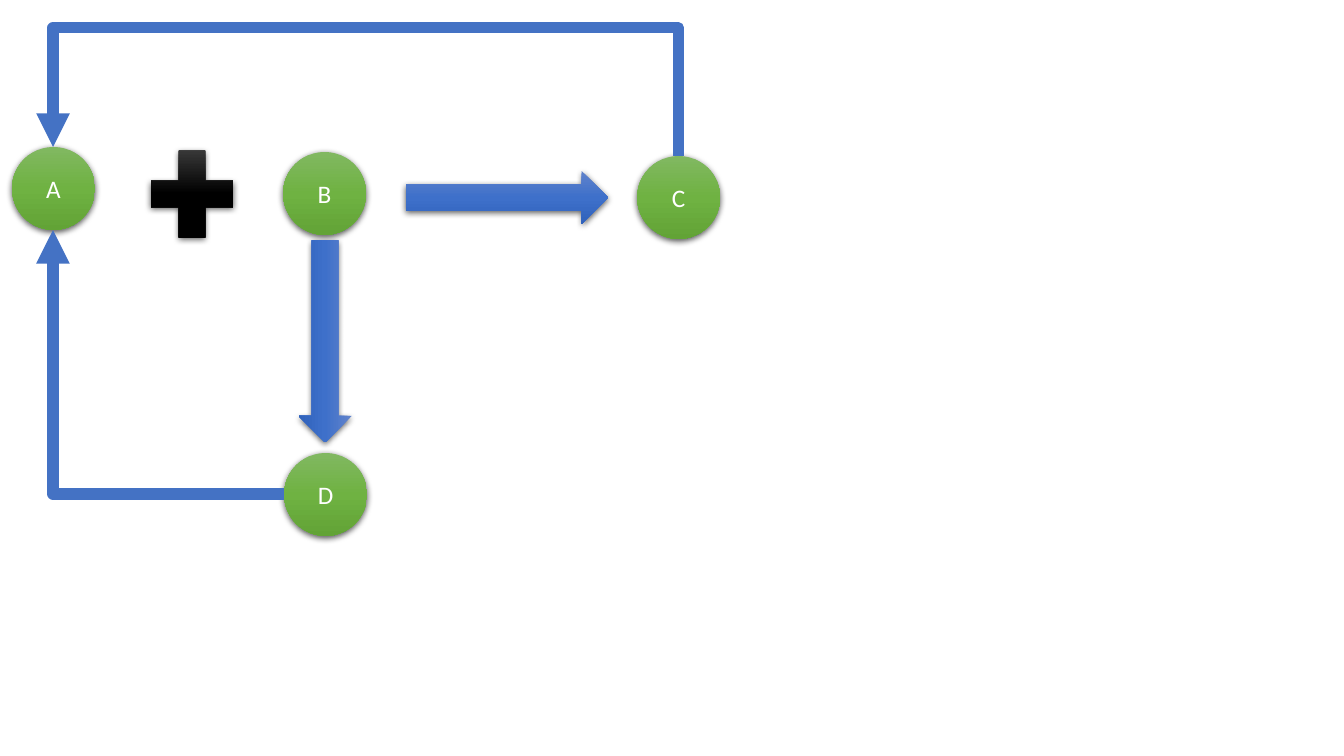
from copy import deepcopy

from lxml.etree import SubElement
from pptx import Presentation
from pptx.dml.color import RGBColor
from pptx.enum.shapes import MSO_CONNECTOR, MSO_SHAPE
from pptx.enum.text import MSO_ANCHOR, PP_ALIGN
from pptx.oxml.ns import qn
from pptx.util import Emu, Inches, Pt

EMU_PER_PX = 914400 / 100.8
DIAMETER = 83
WHITE = RGBColor(0xFF, 0xFF, 0xFF)
LINE_BLUE = RGBColor(0x44, 0x72, 0xC4)
GREENS = (RGBColor(0x81, 0xB8, 0x61), RGBColor(0x6F, 0xB2, 0x42), RGBColor(0x62, 0xA3, 0x36))
BLUES = (RGBColor(0x61, 0x83, 0xCB), RGBColor(0x3E, 0x70, 0xCA), RGBColor(0x30, 0x62, 0xBB))
BLACKS = (RGBColor(0x4B, 0x4B, 0x4B), RGBColor(0, 0, 0), RGBColor(0, 0, 0))


def px(value):
    """Turn pixels into EMU."""
    return Emu(round(value * EMU_PER_PX))


def fill_gradient(shape, colors):
    """Fill a shape from top to bottom with three evenly spaced colours."""
    shape.fill.gradient()
    shape.fill.gradient_angle = 270
    stop_list = shape._element.spPr.find(qn("a:gradFill")).find(qn("a:gsLst"))
    stop_list.append(deepcopy(stop_list[-1]))
    for index, (stop, color) in enumerate(zip(shape.fill.gradient_stops, colors)):
        stop.position = index / 2
        stop.color.rgb = color


def add_shadow(shape):
    """Give a shape a soft shadow just below it."""
    shape.shadow.inherit = False
    effects = shape._element.spPr.find(qn("a:effectLst"))
    shadow = SubElement(effects, qn("a:outerShdw"), blurRad=str(Pt(4.5)), dist=str(Pt(1.5)),
                        dir="5400000", algn="ctr", rotWithShape="0")
    color = SubElement(shadow, qn("a:srgbClr"), val="000000")
    SubElement(color, qn("a:alpha"), val="63000")


def add_block(slide, kind, left, top, width, height, colors, rotation=0):
    """Add a shaded preset shape without an outline."""
    shape = slide.shapes.add_shape(kind, px(left), px(top), px(width), px(height))
    fill_gradient(shape, colors)
    shape.line.fill.background()
    shape.rotation = rotation
    add_shadow(shape)
    return shape


def set_text(shape, text, size=18, font="Calibri", color=WHITE, align=PP_ALIGN.CENTER):
    """Write formatted text in the middle of a shape."""
    shape.text_frame.vertical_anchor = MSO_ANCHOR.MIDDLE
    paragraph = shape.text_frame.paragraphs[0]
    paragraph.alignment = align
    run = paragraph.add_run()
    run.text = text
    run.font.size = Pt(size)
    run.font.name = font
    run.font.color.rgb = color


def add_node(slide, label, left, top):
    """Add a labelled green circle."""
    set_text(add_block(slide, MSO_SHAPE.OVAL, left, top, DIAMETER, DIAMETER, GREENS), label)


def add_elbow(slide, begin, end, preset, rotation, adjustment=None):
    """Add a bent arrow whose begin and end are given before rotation."""
    connector = slide.shapes.add_connector(
        MSO_CONNECTOR.ELBOW, *(px(value) for value in (*begin, *end)))
    connector.line.color.rgb = LINE_BLUE
    connector.line.width = Pt(8)
    properties = connector._element.spPr
    properties.find(qn("a:xfrm")).set("rot", str(rotation * 60000))
    geometry = properties.find(qn("a:prstGeom"))
    geometry.set("prst", preset)
    if adjustment is not None:
        SubElement(geometry.find(qn("a:avLst")), qn("a:gd"), name="adj1",
                   fmla=f"val {round(adjustment * 100000)}")
    SubElement(properties.find(qn("a:ln")), qn("a:tailEnd"), type="triangle")
    SubElement(properties, qn("a:effectLst"))


def add_return_over_top(slide, begin, end, lane):
    """Add an arrow that rises to a lane, runs left and drops to its end."""
    center_x, center_y = (begin[0] + end[0]) / 2, (begin[1] + end[1]) / 2
    rise, run = begin[1] - end[1], begin[0] - end[0]
    add_elbow(slide, (center_x - rise / 2, center_y + run / 2),
              (center_x + rise / 2, center_y - run / 2),
              "bentConnector3", 270, (begin[1] - lane) / rise)


def main():
    """Build the slide and save it."""
    presentation = Presentation()
    presentation.slide_width, presentation.slide_height = Inches(13.33), Inches(7.5)
    slide = presentation.slides.add_slide(presentation.slide_layouts[6])
    for label, left, top in (("A", 12, 147), ("B", 283, 152), ("C", 637, 156)):
        add_node(slide, label, left, top)
    add_block(slide, MSO_SHAPE.RIGHT_ARROW, 406, 171, 202, 53, BLUES)
    add_block(slide, MSO_SHAPE.MATH_PLUS, 136, 135, 112, 118, BLACKS)
    add_block(slide, MSO_SHAPE.RIGHT_ARROW, 224, 315, 202, 53, BLUES, rotation=90)
    add_node(slide, "D", 284, 453)
    add_return_over_top(slide, (678, 156), (53, 147), 28)
    add_elbow(slide, (53, 230), (284, 494), "bentConnector2", 180)
    presentation.save("out.pptx")


if __name__ == "__main__":
    main()
